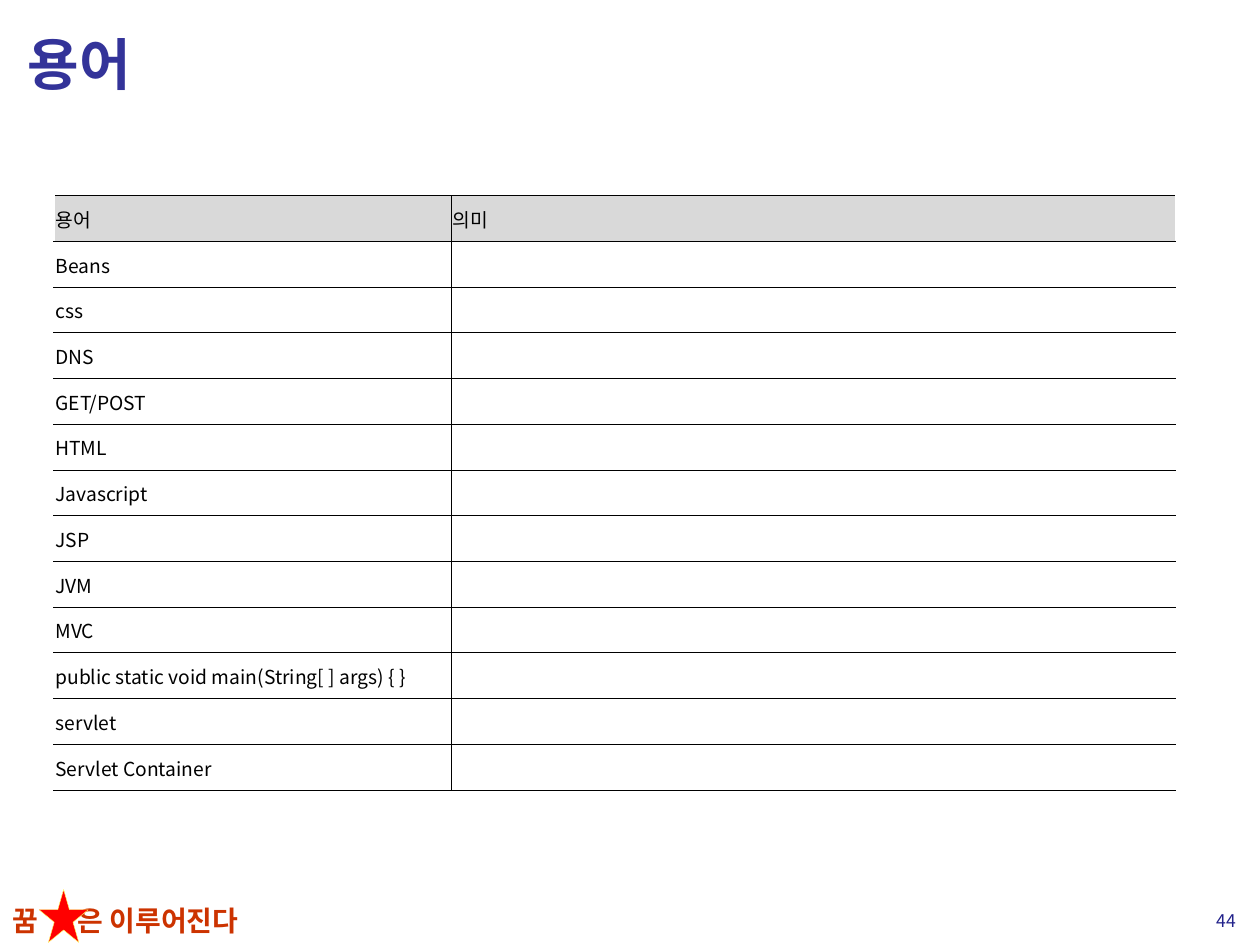
from lxml import etree
from pptx import Presentation
from pptx.dml.color import RGBColor
from pptx.enum import shapes, text
from pptx.oxml import ns
from pptx.util import Inches, Pt

FONT = "Noto Sans CJK KR"
BLACK = RGBColor(0x00, 0x00, 0x00)
WHITE = RGBColor(0xFF, 0xFF, 0xFF)
GRAY = RGBColor(0xD9, 0xD9, 0xD9)
INDIGO = RGBColor(0x33, 0x33, 0x99)
NAVY = RGBColor(0x22, 0x22, 0x8B)
RUST = RGBColor(0xCC, 0x33, 0x00)
RED = RGBColor(0xFF, 0x00, 0x00)
YELLOW = RGBColor(0xFF, 0xFF, 0x66)

TITLE = "용어"
MOTTO = "꿈\t은 이루어진다"
PAGE_NUMBER = "44"
HEADER = ("용어", "의미")
TERMS = [
    "Beans", "css", "DNS", "GET/POST", "HTML", "Javascript", "JSP", "JVM", "MVC",
    "public static void main(String[ ] args) { }", "servlet", "Servlet Container",
]
COLUMN_WIDTHS = (3.15, 5.75)
TABLE_HEIGHT = 4.72
HAIRLINE = (BLACK, 0.25)
OPEN_EDGE = (WHITE, 1)


def add_element(parent, tag, **attributes):
    return etree.SubElement(parent, ns.qn(tag), attributes)


def write_text(frame, content, size, color=BLACK, bold=False, align=None, tab=None,
               anchor=text.MSO_ANCHOR.MIDDLE):
    frame.word_wrap = True
    frame.vertical_anchor = anchor
    paragraph = frame.paragraphs[0]
    if align is not None:
        paragraph.alignment = align
    if tab:
        tabs = add_element(paragraph._p.get_or_add_pPr(), "a:tabLst")
        add_element(tabs, "a:tab", pos=str(Inches(tab)), algn="l")
    if not content:
        add_element(paragraph._p, "a:endParaRPr", sz=str(size * 100))
        return
    run = paragraph.add_run()
    run.text = content
    run.font.name = FONT
    run.font.size = Pt(size)
    run.font.bold = bold
    run.font.color.rgb = color
    add_element(run._r.get_or_add_rPr(), "a:ea", typeface=FONT)


def add_text(slide, box, content, **style):
    shape = slide.shapes.add_textbox(*map(Inches, box))
    write_text(shape.text_frame, content, **style)


def set_borders(cell, **edges):
    properties = cell._tc.get_or_add_tcPr()
    for position, side in enumerate("LRTB"):
        color, width = edges[side]
        line = etree.Element(ns.qn(f"a:ln{side}"), w=str(Pt(width)))
        add_element(add_element(line, "a:solidFill"), "a:srgbClr", val=str(color))
        properties.insert(position, line)


def add_glossary(slide):
    rows = [HEADER] + [(term, "") for term in TERMS]
    table = slide.shapes.add_table(
        len(rows), len(HEADER), Inches(0.43), Inches(1.55),
        Inches(sum(COLUMN_WIDTHS)), Inches(TABLE_HEIGHT)).table
    for column, width in zip(table.columns, COLUMN_WIDTHS):
        column.width = Inches(width)
    for row_index, row in enumerate(rows):
        table.rows[row_index].height = Inches(TABLE_HEIGHT / len(rows))
        for column_index, content in enumerate(row):
            cell = table.cell(row_index, column_index)
            cell.margin_left = cell.margin_right = cell.margin_top = Inches(0.01)
            cell.margin_bottom = 0
            cell.vertical_anchor = text.MSO_ANCHOR.MIDDLE
            if row_index == 0:
                cell.fill.solid()
                cell.fill.fore_color.rgb = GRAY
            else:
                cell.fill.background()
            write_text(cell.text_frame, content, size=11)
            first = column_index == 0
            set_borders(cell, L=OPEN_EDGE if first else HAIRLINE,
                        R=HAIRLINE if first else OPEN_EDGE, T=HAIRLINE, B=HAIRLINE)


def add_star(slide):
    star = slide.shapes.add_shape(
        shapes.MSO_SHAPE.STAR_5_POINT, *map(Inches, (0.31, 7.06, 0.39, 0.42)))
    star.shadow.inherit = False
    star.fill.solid()
    star.fill.fore_color.rgb = RED
    star.line.color.rgb = YELLOW
    star.line.width = Pt(0.25)


def main():
    presentation = Presentation()
    presentation.slide_width = Inches(10)
    presentation.slide_height = Inches(7.5)
    slide = presentation.slides.add_slide(presentation.slide_layouts[6])
    add_text(slide, (0, 7.12, 2.48, 0.37), MOTTO, size=16, color=RUST, bold=True,
             tab=0.52, anchor=text.MSO_ANCHOR.TOP)
    add_star(slide)
    add_text(slide, (0.12, 0.06, 9.76, 0.88), TITLE, size=32, color=INDIGO, bold=True)
    add_text(slide, (9.33, 7.15, 0.58, 0.31), PAGE_NUMBER, size=10, color=NAVY,
             align=text.PP_ALIGN.RIGHT)
    add_glossary(slide)
    presentation.save("out.pptx")


if __name__ == "__main__":
    main()
